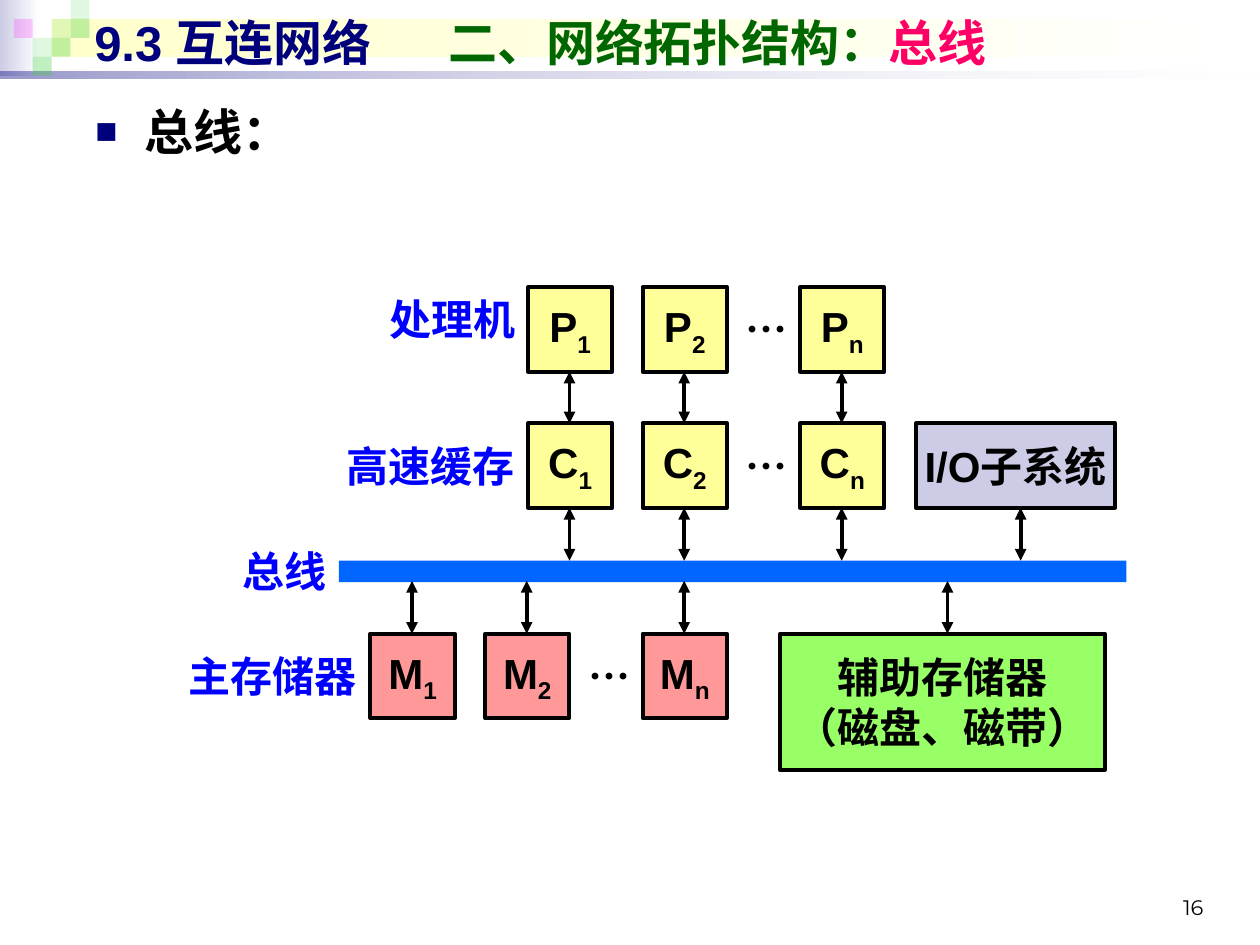
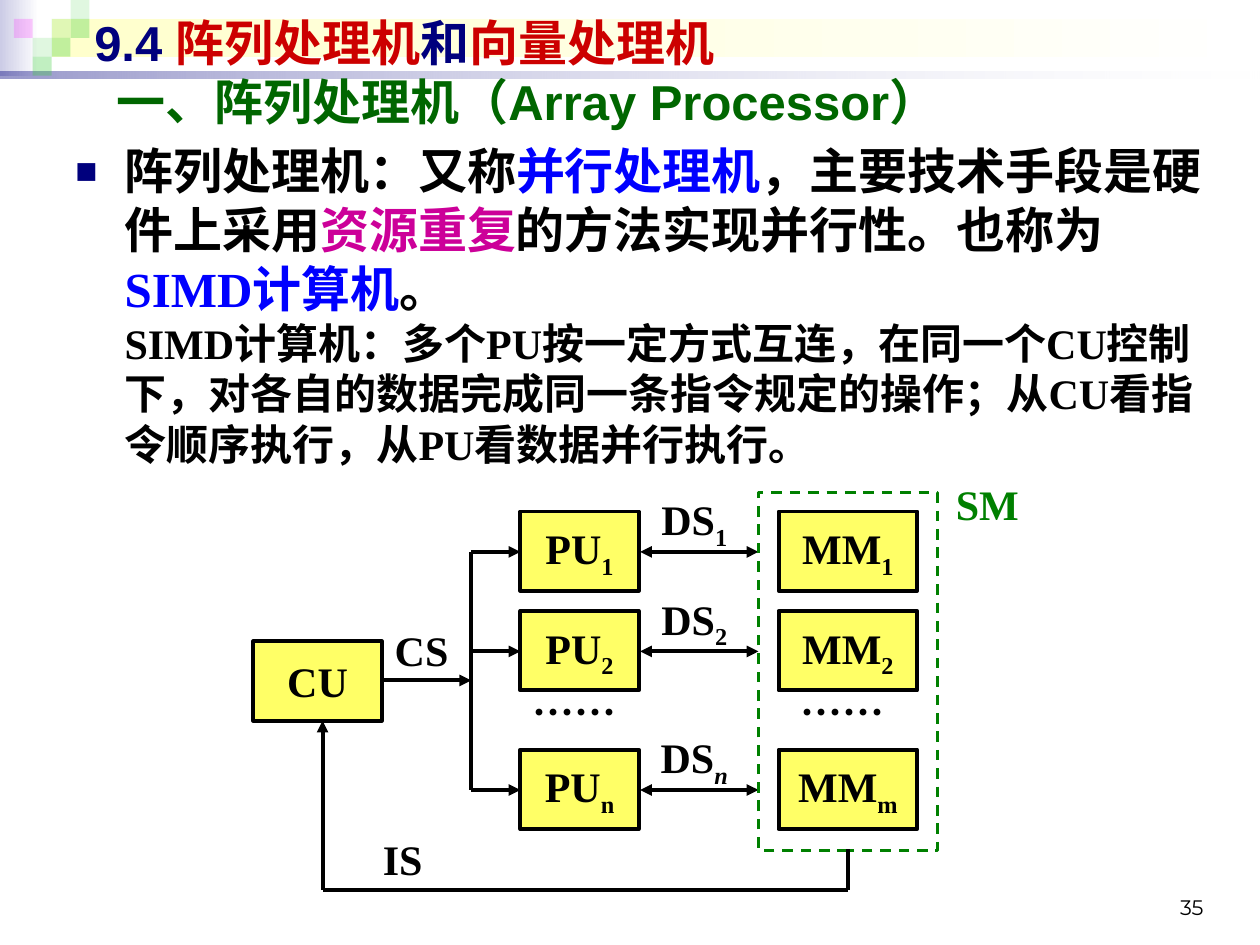
from lxml.etree import SubElement
from pptx import Presentation
from pptx.dml.color import RGBColor
from pptx.enum.dml import MSO_LINE
from pptx.enum.shapes import MSO_CONNECTOR, MSO_SHAPE
from pptx.enum.text import MSO_ANCHOR, PP_ALIGN
from pptx.oxml.ns import qn
from pptx.util import Pt

PX = 9144  # 100 px to the inch
HUE = {
    "black": "000000", "white": "FFFFFF", "navy": "00007D", "blue": "0000FF",
    "green": "006600", "pink": "FF0066", "red": "CC0000", "plum": "CC0099",
    "lilac": "CCCCE6", "cream": "FFFFCC", "leaf": "33CC33", "rose": "FF00FF",
    "lemon": "FFFF99", "yellow": "FFFF66", "coral": "FF9999", "lime": "99FF66",
    "bus": "0066FF", "frame": "008000",
}
RGB = {name: RGBColor.from_string(code) for name, code in HUE.items()}
SANS, SERIF, CJK, PAGE = "Arial", "Times New Roman", "Noto Sans CJK SC", "Montserrat"
LEFT, MID, RIGHT = PP_ALIGN.LEFT, PP_ALIGN.CENTER, PP_ALIGN.RIGHT
TOP, CORE, LOW = MSO_ANCHOR.TOP, MSO_ANCHOR.MIDDLE, MSO_ANCHOR.BOTTOM


def put(slide, at, words="", hue="black", fill=None, edge=None, font=SANS,
        size=24, bold=True, align=MID, anchor=TOP):
    """Add a filled or framed box, or else a text box; "_" starts a subscript.

    words is a string or a list of (text, hue) or (text, hue, size).
    """
    place = [n * PX for n in at]
    solid = fill or edge
    if solid:
        shape = slide.shapes.add_shape(MSO_SHAPE.RECTANGLE, *place)
        shape.shadow.inherit = False
        if fill:
            shape.fill.solid()
            shape.fill.fore_color.rgb = RGB[fill]
        else:
            shape.fill.background()
        if edge:
            shape.line.color.rgb = RGB[edge]
            shape.line.width = Pt(2.25)
        else:
            shape.line.fill.background()
    else:
        shape = slide.shapes.add_textbox(*place)
    if not words:
        return shape
    frame = shape.text_frame
    frame.word_wrap = not solid
    frame.vertical_anchor = CORE if solid else anchor
    para = frame.paragraphs[0]
    para.alignment = align
    para.font.name, para.font.size, para.font.bold = font, Pt(size), bold
    para.font.color.rgb = RGB[hue]
    SubElement(para._p.pPr.find(qn("a:defRPr")), qn("a:ea"), typeface=CJK)
    for text, tint, *own in [(words, hue)] if isinstance(words, str) else words:
        for row, line in enumerate(text.split("\n")):
            if row:
                para.add_line_break()
            for low, part in enumerate(line.split("_")):
                if not part:
                    continue
                run = para.add_run()
                run.text = part
                if tint != hue:
                    run.font.color.rgb = RGB[tint]
                if own:
                    run.font.size = Pt(own[0])
                if low:
                    run._r.get_or_add_rPr().set("baseline", "-25000")
    return shape


def link(slide, x1, y1, x2, y2, ends=("headEnd", "tailEnd")):
    """Draw a black line with arrowheads at the named ends."""
    line = slide.shapes.add_connector(
        MSO_CONNECTOR.STRAIGHT, x1 * PX, y1 * PX, x2 * PX, y2 * PX)
    line.line.color.rgb = RGB["black"]
    line.line.width = Pt(2.25)
    props = line._element.spPr
    for end in ends:
        SubElement(props.find(qn("a:ln")), qn("a:" + end), type="triangle")
    SubElement(props, qn("a:effectLst"))


deck = Presentation()
deck.slide_width, deck.slide_height = 1000 * PX, 750 * PX

# Bands as (place, start hue, start alpha, end alpha); tiles as (x, y, hue, alpha)
bands = [((0, 0, 31, 60), "lilac", 100, 100), ((41, 15, 955, 30), "cream", 100, 100),
         ((0, 57, 1000, 5), "navy", 40, 10)]
tiles = [(41, 15, "leaf", 15), (56, 0, "leaf", 15), (56, 15, "leaf", 30),
         (26, 30, "leaf", 15), (11, 15, "rose", 20), (41, 30, "leaf", 30),
         (26, 45, "leaf", 30)]
pages = [
    ("16",
     [("9.3 互连网络\t", "navy"), ("二、网络拓扑结构：", "green"), ("总线", "pink")],
     (66, 76, 867, 63),
     [("总线：", "black")]),
    ("35",
     [("9.4 ", "navy"), ("阵列处理机", "red"), ("和", "navy"), ("向量处理机", "red")],
     (50, 107, 915, 276),
     [("阵列处理机：又称", "black"), ("并行处理机", "blue"),
      ("，主要技术手段是硬件上采用", "black"), ("资源重复", "plum"),
      ("的方法实现并行性。也称为", "black"), ("SIMD计算机", "blue"), ("。\n", "black"),
      ("SIMD计算机：多个PU按一定方式互连，在同一个CU控制下，对各自的数据完成"
       "同一条指令规定的操作；从CU看指令顺序执行，从PU看数据并行执行。", "black", 24)]),
]
slides = []
for number, title, spot, body in pages:
    slide = deck.slides.add_slide(deck.slide_layouts[6])
    slides.append(slide)
    for at, hue, *alphas in bands:
        fill = put(slide, at, fill=hue).fill
        fill.gradient()
        fill.gradient_angle = 0
        for stop, tint, alpha in zip(fill.gradient_stops, (hue, "white"), alphas):
            stop.color.rgb = RGB[tint]
            SubElement(stop._gs[0], qn("a:alpha"), val=str(alpha * 1000))
    for x, y, hue, alpha in tiles:
        tile = put(slide, (x, y, 15, 15), fill=hue)
        color = tile._element.spPr.find(qn("a:solidFill"))[0]
        SubElement(color, qn("a:alpha"), val=str(alpha * 1000))
    put(slide, (717, 683, 248, 52), number, font=PAGE, size=12, bold=False,
        align=RIGHT, anchor=LOW)
    head = put(slide, (65, 5, 900, 57), title, "navy", size=28, align=LEFT, anchor=CORE)
    props = head.text_frame.paragraphs[0]._p.pPr
    tabs = props.makeelement(qn("a:tabLst"))
    SubElement(tabs, qn("a:tab"), pos=str(281 * PX), algn="l")
    props.insert(0, tabs)
    text = put(slide, spot, body, font=SERIF, size=28, align=LEFT)
    props = text.text_frame.paragraphs[0]._p.pPr
    props.set("marL", str(39 * PX))
    props.set("indent", str(-39 * PX))
    tint = props.makeelement(qn("a:buClr"))
    SubElement(tint, qn("a:srgbClr"), val=HUE["navy"])
    marks = [tint, props.makeelement(qn("a:buSzPct"), val="75000"),
             props.makeelement(qn("a:buFont"), typeface=SANS),
             props.makeelement(qn("a:buChar"), char="■")]
    for spot, mark in enumerate(marks):
        props.insert(spot, mark)

bus, array = slides

# Bus: processors and caches above, memories below
SIDE = 67
put(bus, (269, 445, 625, 17), fill="bus")
for x, mark in (419, "1"), (510, "2"), (635, "n"):
    for y, name in (228, "P"), (336, "C"):
        put(bus, (x, y, SIDE, SIDE), f"{name}_{mark}", fill="lemon", edge="black")
    for y1, y2 in (295, 336), (403, 445):
        link(bus, x + 33, y1, x + 33, y2)
for x, mark in (294, "1"), (385, "2"), (510, "n"):
    put(bus, (x, 503, SIDE, SIDE), f"M_{mark}", fill="coral", edge="black")
    link(bus, x + 33, 461, x + 33, 503)
put(bus, (727, 336, 158, SIDE), "I/O子系统", fill="lilac", edge="black")
link(bus, 810, 403, 810, 445)
put(bus, (619, 503, 258, 108), "辅助存储器\n（磁盘、磁带）", fill="lime", edge="black")
link(bus, 752, 461, 752, 503)
for x, y, wide, name in [(294, 228, 125, "处理机"), (260, 345, 158, "高速缓存"),
                         (169, 428, 100, "总线"), (135, 511, 158, "主存储器")]:
    put(bus, (x, y, wide, 50), name, "blue", align=RIGHT)
for x, y in (577, 236), (577, 345), (452, 511):
    put(bus, (x, y, 58, 50), "…", font=CJK, align=RIGHT)

# Array processor: one control unit, rows of processing units and memories
put(array, (83, 52, 884, 57), "一、阵列处理机（Array Processor）", "green", size=28,
    align=LEFT, anchor=CORE)
put(array, (201, 509, 102, 63), "CU", fill="yellow", edge="black", font=SERIF)
for y, unit, store in (406, "1", "1"), (485, "2", "2"), (595, "n", "m"):
    put(array, (413, y, 94, 63), f"PU_{unit}", fill="yellow", edge="black", font=SERIF)
    put(array, (618, y, 110, 63), f"MM_{store}", fill="yellow", edge="black", font=SERIF)
    flow = put(array, (500, y - 19, 102, 50), f"DS_{unit}", font=SERIF)
    if unit == "n":
        flow.text_frame.paragraphs[0].runs[1].font.italic = True
    link(array, 508, y + 32, 602, y + 32)
    link(array, 374, y + 32, 413, y + 32, ["tailEnd"])
for x in 405, 618:
    put(array, (x, 540, 102, 50), "……", font=CJK)
frame = put(array, (602, 391, 142, 284), edge="frame")
frame.line.width = Pt(1.5)
frame.line.dash_style = MSO_LINE.DASH
link(array, 374, 438, 374, 627, [])
link(array, 303, 540, 374, 540, ["tailEnd"])
link(array, 673, 674, 673, 706, [])
link(array, 673, 706, 256, 706, [])
link(array, 256, 706, 256, 572, ["tailEnd"])
for x, y, name, hue in [(295, 491, "CS", "black"), (280, 657, "IS", "black"),
                        (744, 375, "SM", "frame")]:
    put(array, (x, y, 79, 50), name, hue, font=SERIF)

deck.save("out.pptx")
